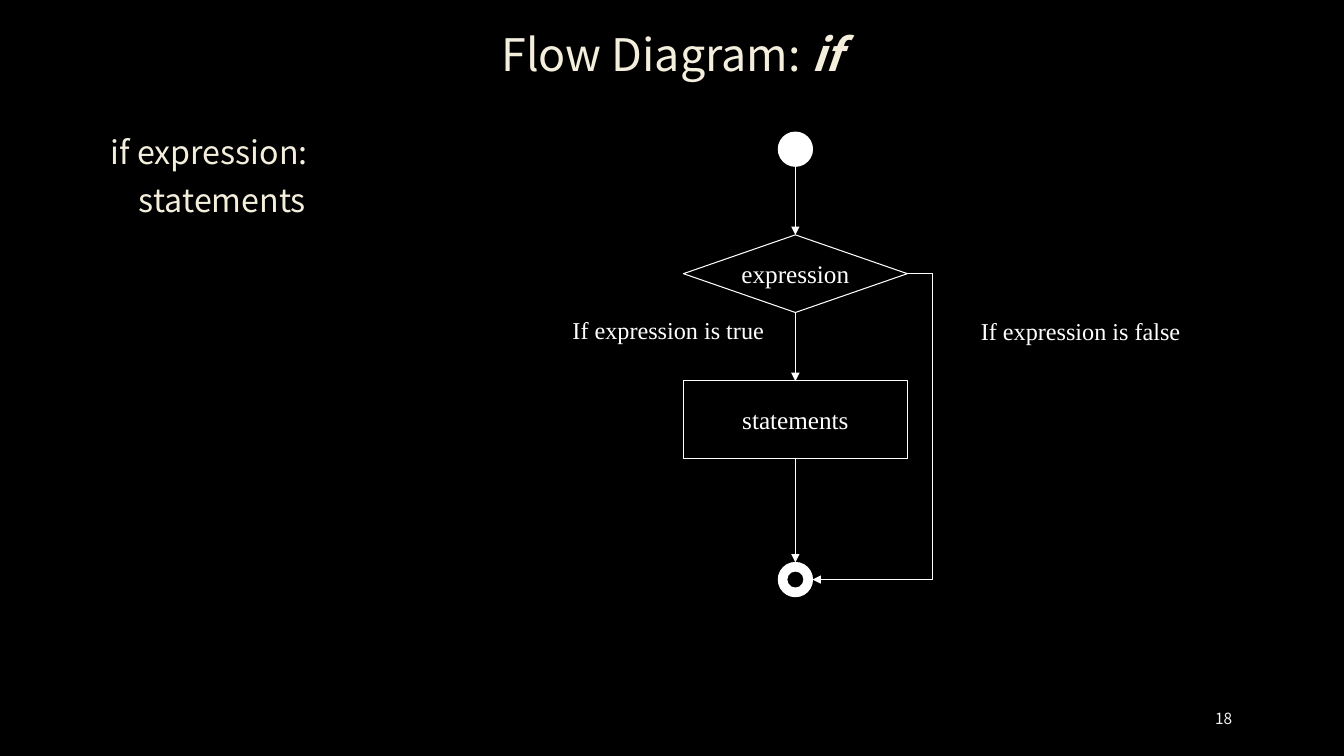
import pptx
import pptx.util
import pptx.dml.color
import pptx.enum.shapes
import pptx.enum.text
import pptx.oxml.ns
import lxml.etree

WIDTH, HEIGHT = pptx.util.Inches(13.33), pptx.util.Inches(7.5)
BLACK = pptx.dml.color.RGBColor(0x00, 0x00, 0x00)
WHITE = pptx.dml.color.RGBColor(0xFF, 0xFF, 0xFF)
CREAM = pptx.dml.color.RGBColor(0xF4, 0xEE, 0xDC)
PALE_GREY = pptx.dml.color.RGBColor(0xF2, 0xF2, 0xF2)
SANS, SERIF = "Noto Sans CJK KR", "Times New Roman"

SHAPES = pptx.enum.shapes.MSO_SHAPE
CONNECTORS = pptx.enum.shapes.MSO_CONNECTOR
ALIGN = pptx.enum.text.PP_ALIGN
ANCHOR = pptx.enum.text.MSO_ANCHOR

AXIS = 59.18
NODE_WIDTH, NODE_HEIGHT = 16.66, 10.27
DOT_WIDTH, DOT_HEIGHT = 2.55, 4.53
START_TOP, TEST_TOP, ACTION_TOP, END_TOP = 17.47, 31.07, 50.4, 74.4
DETOUR = 1.88

TITLE = {"name": SANS, "size": pptx.util.Pt(32), "color": CREAM}
CODE = {"name": SANS, "size": pptx.util.Pt(23), "color": CREAM}
PAGE = {"name": SANS, "size": pptx.util.Pt(11), "color": PALE_GREY}
NODE = {"name": SERIF, "size": pptx.util.Pt(18), "color": WHITE}
BRANCH = {"name": SERIF, "size": pptx.util.Pt(17.3), "color": WHITE}


def across(share):
    return round(WIDTH * share / 100)


def down(share):
    return round(HEIGHT * share / 100)


def apply(target, values):
    for name, value in values.items():
        setattr(target, name, value)


def write(paragraph, words, style, **emphasis):
    run = paragraph.add_run()
    run.text = words
    values = {**style, **emphasis}
    run.font.color.rgb = values.pop("color")
    apply(run.font, values)


def add_text(slide, left, top, width, height, lines, style, layout=None, anchor=ANCHOR.TOP):
    frame = slide.shapes.add_textbox(across(left), down(top), across(width), down(height)).text_frame
    apply(frame, {"word_wrap": True, "vertical_anchor": anchor})
    for index, words in enumerate(lines):
        paragraph = frame.add_paragraph() if index else frame.paragraphs[0]
        apply(paragraph, layout or {})
        write(paragraph, words, style)
    return frame


def add_node(slide, kind, top, width, height, label=None):
    node = slide.shapes.add_shape(
        kind, across(AXIS - width / 2), down(top), across(width), down(height))
    node.shadow.inherit = False
    node.line.color.rgb = WHITE
    node.line.width = pptx.util.Pt(0.75)
    if label:
        node.fill.background()
        frame = node.text_frame
        apply(frame, {"word_wrap": False, "vertical_anchor": ANCHOR.MIDDLE})
        frame.paragraphs[0].alignment = ALIGN.CENTER
        write(frame.paragraphs[0], label, NODE)
    else:
        node.fill.solid()
        node.fill.fore_color.rgb = WHITE


def add_arrow(slide, start, end, kind=CONNECTORS.STRAIGHT):
    arrow = slide.shapes.add_connector(
        kind, across(start[0]), down(start[1]), across(end[0]), down(end[1]))
    arrow.line.color.rgb = WHITE
    arrow.line.width = pptx.util.Pt(0.75)
    qn = pptx.oxml.ns.qn
    lxml.etree.SubElement(arrow.line._get_or_add_ln(), qn("a:tailEnd"), type="triangle")
    properties = arrow._element.spPr
    lxml.etree.SubElement(properties, qn("a:effectLst"))
    if kind == CONNECTORS.ELBOW:
        bend = round(-100000 * DETOUR / (start[0] - end[0]))
        guides = properties.find(qn("a:prstGeom")).get_or_add_avLst()
        lxml.etree.SubElement(guides, qn("a:gd"), name="adj1", fmla=f"val {bend}")


def add_flow(slide):
    add_node(slide, SHAPES.OVAL, START_TOP, DOT_WIDTH, DOT_HEIGHT)
    add_node(slide, SHAPES.DIAMOND, TEST_TOP, NODE_WIDTH, NODE_HEIGHT, "expression")
    add_node(slide, SHAPES.RECTANGLE, ACTION_TOP, NODE_WIDTH, NODE_HEIGHT, "statements")
    add_node(slide, SHAPES.DONUT, END_TOP, DOT_WIDTH, DOT_HEIGHT)
    for leave, arrive in (
        (START_TOP + DOT_HEIGHT, TEST_TOP),
        (TEST_TOP + NODE_HEIGHT, ACTION_TOP),
        (ACTION_TOP + NODE_HEIGHT, END_TOP),
    ):
        add_arrow(slide, (AXIS, leave), (AXIS, arrive))
    add_arrow(
        slide,
        (AXIS + NODE_WIDTH / 2, TEST_TOP + NODE_HEIGHT / 2),
        (AXIS + DOT_WIDTH / 2, END_TOP + DOT_HEIGHT / 2),
        CONNECTORS.ELBOW,
    )
    add_text(slide, 41.86, 41.07, 25.66, 5.2, ["If expression is true"], BRANCH)
    add_text(slide, 72.24, 41.2, 20.03, 5.2, ["If expression is false"], BRANCH)


def main():
    deck = pptx.Presentation()
    apply(deck, {"slide_width": WIDTH, "slide_height": HEIGHT})
    slide = deck.slides.add_slide(deck.slide_layouts[6])
    slide.background.fill.solid()
    slide.background.fill.fore_color.rgb = BLACK

    heading = add_text(slide, 7.5, 2, 84.92, 11.2, ["Flow Diagram: "], TITLE,
                       {"alignment": ALIGN.CENTER, "line_spacing": 0.9}, ANCHOR.MIDDLE)
    write(heading.paragraphs[0], "if", TITLE, bold=True, italic=True)
    code = add_text(slide, 7.5, 16.4, 84.92, 67.6, ["if expression:", "statements"], CODE,
                    {"line_spacing": 1.1, "space_after": pptx.util.Pt(4)})
    code.paragraphs[1]._p.get_or_add_pPr().set("marL", str(across(2.1)))
    add_flow(slide)
    add_text(slide, 86.27, 92.4, 6.15, 5.33, ["18"], PAGE,
             {"alignment": ALIGN.RIGHT}, ANCHOR.MIDDLE)
    deck.save("out.pptx")


if __name__ == "__main__":
    main()
